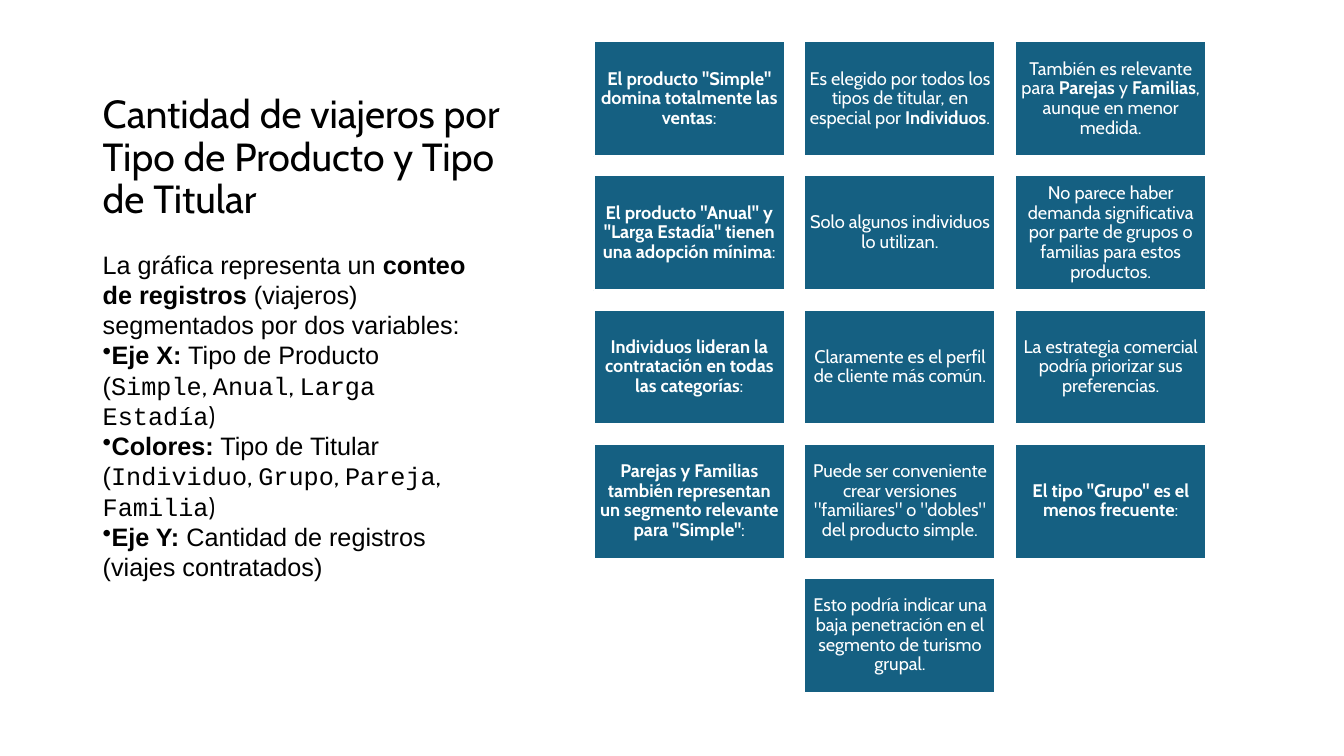
from pptx import Presentation
from pptx.dml.color import RGBColor
from pptx.enum.shapes import MSO_SHAPE as Shape
from pptx.enum.text import MSO_ANCHOR as Anchor, PP_ALIGN as Align
from pptx.oxml.xmlchemy import OxmlElement
from pptx.util import Cm, Pt

COLORS = {"text": "000000", "card": "156082", "white": "FFFFFF"}

TITLE = "Cantidad de viajeros por Tipo de Producto y Tipo de Titular"
INTRO = "La gráfica representa un **conteo de registros** (viajeros) segmentados por dos variables:"
VARIABLES = [
    "**Eje X:** Tipo de Producto (`Simple`, `Anual`, `Larga Estadía`)",
    "**Colores:** Tipo de Titular (`Individuo`, `Grupo`, `Pareja`, `Familia`)",
    "**Eje Y:** Cantidad de registros (viajes contratados)",
]
CARD_ROWS = [
    ['**El producto "Simple" domina totalmente las ventas**:',
     "Es elegido por todos los tipos de titular, en especial por **Individuos**.",
     "También es relevante para **Parejas** y **Familias**, aunque en menor medida."],
    ['**El producto "Anual" y "Larga Estadía" tienen una adopción mínima**:',
     "Solo algunos individuos lo utilizan.",
     "No parece haber demanda significativa por parte de grupos o familias para estos productos."],
    ["**Individuos lideran la contratación en todas las categorías**:",
     "Claramente es el perfil de cliente más común.",
     "La estrategia comercial podría priorizar sus preferencias."],
    ['**Parejas y Familias también representan un segmento relevante para "Simple"**:',
     'Puede ser conveniente crear versiones "familiares" o "dobles" del producto simple.',
     '**El tipo "Grupo" es el menos frecuente**:'],
    ["Esto podría indicar una baja penetración en el segmento de turismo grupal."],
]


def color(name):
    return RGBColor.from_string(COLORS[name])


def write(paragraph, marked_text, size, color_name, font_name="Cabin"):
    """Add runs: ** switches bold, ` switches Courier New; Cabin follows a code word."""
    for code_index, part in enumerate(marked_text.split("`")):
        part_font = "Courier New" if code_index % 2 else "Cabin" if code_index else font_name
        for bold_index, text in enumerate(part.split("**")):
            if text:
                run = paragraph.add_run()
                run.text = text
                run.font.name = part_font
                run.font.size = Pt(size)
                run.font.bold = bold_index % 2 == 1
                run.font.color.rgb = color(color_name)


def add_bullet(paragraph):
    properties = paragraph._p.get_or_add_pPr()
    properties.set("marL", "0")
    properties.set("indent", "0")
    bullet = OxmlElement("a:buChar")
    bullet.set("char", "•")
    properties.append(bullet)


def add_text_box(slide, left, top, width, height, anchor):
    frame = slide.shapes.add_textbox(left, top, width, height).text_frame
    frame.word_wrap = True
    frame.vertical_anchor = anchor
    return frame


def add_title(slide, left, top, width, height):
    paragraph = add_text_box(slide, left, top, width, height, Anchor.BOTTOM).paragraphs[0]
    paragraph.line_spacing = 0.9
    write(paragraph, TITLE, 28, "text")


def add_description(slide, left, top, width, height):
    frame = add_text_box(slide, left, top, width, height, Anchor.MIDDLE)
    frame.margin_bottom = Cm(1.55)
    write(frame.paragraphs[0], INTRO, 18, "text", "Arial")
    for variable in VARIABLES:
        paragraph = frame.add_paragraph()
        add_bullet(paragraph)
        write(paragraph, variable, 18, "text", "Arial")


def add_card(slide, left, top, width, height, marked_text):
    card = slide.shapes.add_shape(Shape.RECTANGLE, left, top, width, height)
    card.shadow.inherit = False
    card.fill.solid()
    card.fill.fore_color.rgb = color("card")
    card.line.color.rgb = color("white")
    card.line.width = Pt(1.5)
    frame = card.text_frame
    frame.word_wrap = True
    frame.vertical_anchor = Anchor.MIDDLE
    frame.margin_left = frame.margin_right = Cm(0.13)
    frame.margin_top = frame.margin_bottom = Cm(0.13)
    paragraph = frame.paragraphs[0]
    paragraph.alignment = Align.CENTER
    paragraph.line_spacing = 0.9
    write(paragraph, marked_text, 13, "white")


def add_cards(slide, left, top, width, height):
    """Spread the rows over the box, each row centred in it."""
    card_width, card_height = Cm(4.82), Cm(2.9)
    step_x = (width - card_width) // (max(map(len, CARD_ROWS)) - 1)
    step_y = (height - card_height) // (len(CARD_ROWS) - 1)
    for row_index, row in enumerate(CARD_ROWS):
        row_width = card_width + step_x * (len(row) - 1)
        row_left = left + (width - row_width) // 2
        for column, marked_text in enumerate(row):
            add_card(slide, row_left + column * step_x, top + row_index * step_y,
                     card_width, card_height, marked_text)


def main():
    presentation = Presentation()
    presentation.slide_width, presentation.slide_height = Cm(33.87), Cm(19.05)
    slide = presentation.slides.add_slide(presentation.slide_layouts[6])
    add_title(slide, Cm(2.34), Cm(1.27), Cm(10.92), Cm(4.45))
    add_description(slide, Cm(2.34), Cm(6.43), Cm(9.75), Cm(9.5))
    add_cards(slide, Cm(14.96), Cm(1.04), Cm(15.44), Cm(16.42))
    presentation.save("out.pptx")


if __name__ == "__main__":
    main()
